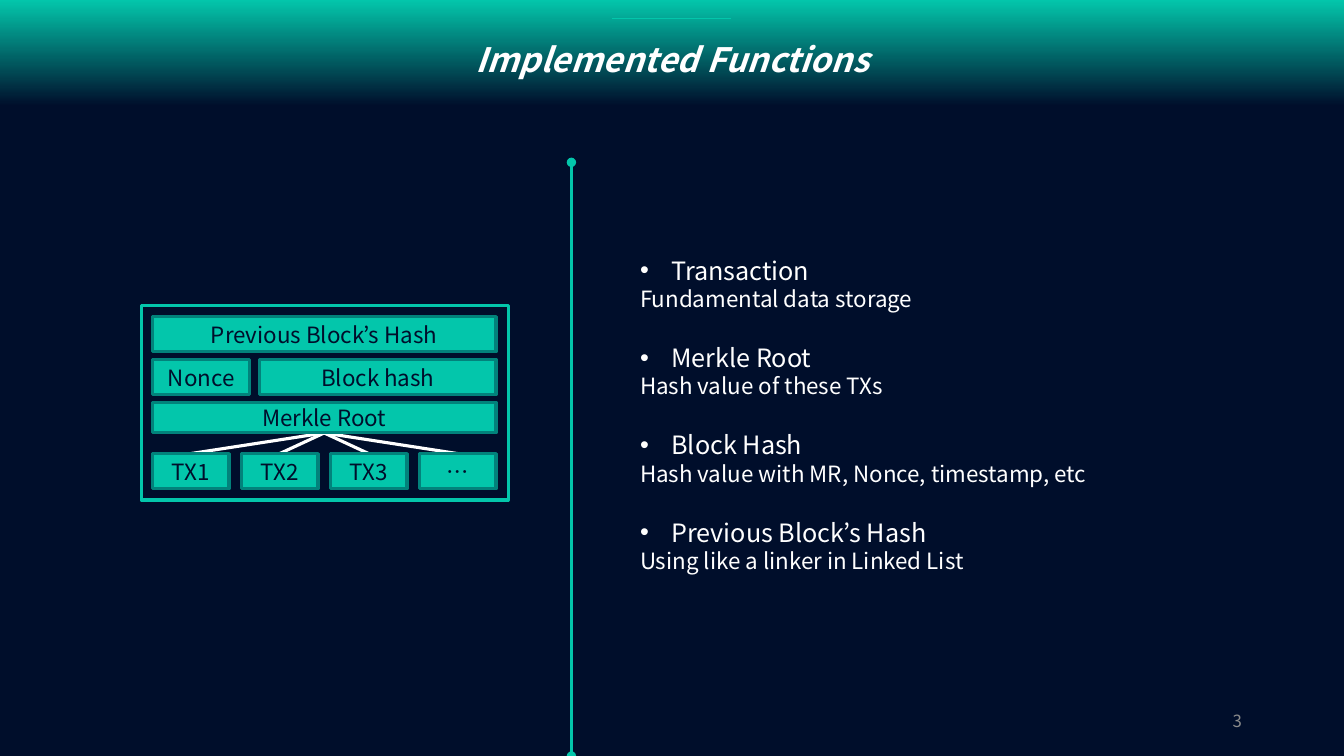
"""Build the slide that explains the parts of a block and the functions behind them."""
from dataclasses import dataclass

from lxml.etree import SubElement
from pptx import Presentation
from pptx.dml.color import RGBColor
from pptx.enum.shapes import MSO_CONNECTOR, MSO_SHAPE
from pptx.enum.text import MSO_ANCHOR, MSO_AUTO_SIZE, PP_ALIGN
from pptx.oxml.ns import qn
from pptx.util import Cm, Pt

TITLE = "Implemented Functions"
PAGE = "3"
FUNCTIONS = [
    ("Transaction", "Fundamental data storage"),
    ("Merkle Root", "Hash value of these TXs"),
    ("Block Hash", "Hash value with MR, Nonce, timestamp, etc"),
    ("Previous Block’s Hash", "Using like a linker in Linked List"),
]
TXS = ["TX1", "TX2", "TX3", "…"]
ROWS = [
    {"top": 7.98, "height": 0.89, "gap": 0, "cells": {"Previous Block’s Hash": 1}},
    {"top": 9.06, "height": 0.89, "gap": 0.25, "cells": {"Nonce": 2.46, "Block hash": 5.95}},
    {"top": 10.14, "height": 0.77, "gap": 0, "cells": {"Merkle Root": 1}},
    {"top": 11.43, "height": 0.89, "gap": 0.31, "cells": dict.fromkeys(TXS, 1)},
]
BLOCK_LEFT, BLOCK_WIDTH = 3.84, 8.66
SLIDE_W, SLIDE_H = 33.87, 19.05


@dataclass(frozen=True)
class Theme:
    """Colours, font and type sizes of the slide."""
    navy: RGBColor = RGBColor(0x00, 0x0E, 0x2B)
    teal: RGBColor = RGBColor(0x03, 0xC6, 0xAB)
    edge: RGBColor = RGBColor(0x02, 0x82, 0x7B)
    white: RGBColor = RGBColor(0xFF, 0xFF, 0xFF)
    grey: RGBColor = RGBColor(0x8C, 0x8C, 0x8C)
    font: str = "Noto Sans CJK KR"
    title: int = 24
    head: int = 18
    body: int = 16
    page: int = 12
    rule: float = 2.25
    thin: float = 1


T = Theme()


def add_run(p, text, size, color, bold=False, italic=False):
    """Add one formatted run, with the font set for Latin and East Asian text."""
    r = p.add_run()
    r.text = text
    r.font.size, r.font.name = Pt(size), T.font
    r.font.bold, r.font.italic = bold, italic
    r.font.color.rgb = color
    SubElement(r.font._element, qn("a:ea"), typeface=T.font)


def add_box(s, left, top, width, height, fill, line, text=None):
    """Add a bordered rectangle with an optional centred label."""
    sp = s.shapes.add_shape(MSO_SHAPE.RECTANGLE, Cm(left), Cm(top), Cm(width), Cm(height))
    sp.shadow.inherit = False
    sp.fill.solid()
    sp.fill.fore_color.rgb = fill
    sp.line.color.rgb, sp.line.width = line, Pt(T.rule)
    if text:
        sp.text_frame.vertical_anchor = MSO_ANCHOR.MIDDLE
        p = sp.text_frame.paragraphs[0]
        p.alignment = PP_ALIGN.CENTER
        add_run(p, text, T.body, T.navy)
    return sp


def add_line(s, color, width, x1=0, y1=0, x2=0, y2=0, ends=None):
    """Add a straight connector, with the same mark at both ends if given."""
    ln = s.shapes.add_connector(MSO_CONNECTOR.STRAIGHT, Cm(x1), Cm(y1), Cm(x2), Cm(y2))
    ln.line.color.rgb, ln.line.width = color, Pt(width)
    if ends:
        for tag in ("a:headEnd", "a:tailEnd"):
            SubElement(ln.line._get_or_add_ln(), qn(tag), type=ends)
    SubElement(ln._element.spPr, qn("a:effectLst"))
    return ln


def add_text(s, left, top, width, height):
    """Add a wrapping text box and return its text frame."""
    tf = s.shapes.add_textbox(Cm(left), Cm(top), Cm(width), Cm(height)).text_frame
    tf.word_wrap = True
    return tf


def add_title(s):
    """Turn the title placeholder into the gradient band at the top."""
    sp = s.shapes.title
    sp.left, sp.top, sp.width, sp.height = Cm(0), Cm(0), Cm(SLIDE_W), Cm(2.97)
    sp.fill.gradient()
    sp.fill.gradient_angle = 90
    for stop, color, pos in zip(sp.fill.gradient_stops, (T.navy, T.teal), (0.1, 1)):
        stop.color.rgb, stop.position = color, pos
    tf = sp.text_frame
    tf.auto_size, tf.vertical_anchor = MSO_AUTO_SIZE.NONE, MSO_ANCHOR.MIDDLE
    p = tf.paragraphs[0]
    p.alignment = PP_ALIGN.CENTER
    add_run(p, TITLE, T.title, T.white, bold=True, italic=True)
    add_line(s, T.teal, T.thin, 15.42, 0.46, 18.42, 0.46)


def add_block(s):
    """Draw the block: its frame, rows of fields and the tree of transactions."""
    add_box(s, 3.56, 7.7, 9.25, 4.9, T.navy, T.teal)
    branches = [add_line(s, T.white, T.rule) for _ in TXS]
    boxes = {}
    for row in ROWS:
        cells, x = row["cells"], BLOCK_LEFT
        unit = (BLOCK_WIDTH - row["gap"] * (len(cells) - 1)) / sum(cells.values())
        for text, share in cells.items():
            boxes[text] = add_box(s, x, row["top"], unit * share, row["height"],
                                  T.teal, T.edge, text)
            x += unit * share + row["gap"]
    for branch, tx in zip(branches, TXS):
        branch.begin_connect(boxes[tx], 0)
        branch.end_connect(boxes["Merkle Root"], 2)


def add_functions(s):
    """List the functions as bulleted heads with a plain line under each."""
    tf = add_text(s, 15.88, 6.3, 11.86, 8.46)
    for i, (head, detail) in enumerate(FUNCTIONS):
        p = tf.add_paragraph() if i else tf.paragraphs[0]
        if i:
            p.space_before = Pt(T.head * 1.2)
        add_run(p, head, T.head, T.white)
        pPr = p._p.get_or_add_pPr()
        pPr.set("marL", str(Cm(0.79)))
        pPr.set("indent", str(-Cm(0.79)))
        SubElement(pPr, qn("a:buFont"), typeface="Arial")
        SubElement(pPr, qn("a:buChar"), char="•")
        add_run(tf.add_paragraph(), detail, T.body, T.white)


def main():
    """Assemble and save the slide."""
    prs = Presentation()
    prs.slide_width, prs.slide_height = Cm(SLIDE_W), Cm(SLIDE_H)
    s = prs.slides.add_slide(prs.slide_layouts[5])
    s.background.fill.solid()
    s.background.fill.fore_color.rgb = T.navy
    add_title(s)
    tf = add_text(s, 23.93, 17.65, 7.62, 1.02)
    tf.vertical_anchor = MSO_ANCHOR.MIDDLE
    tf.paragraphs[0].alignment = PP_ALIGN.RIGHT
    add_run(tf.paragraphs[0], PAGE, T.page, T.grey)
    add_block(s)
    add_line(s, T.teal, T.rule, 14.4, SLIDE_H, 14.4, 4.09, ends="oval")
    add_functions(s)
    prs.save("out.pptx")


if __name__ == "__main__":
    main()
